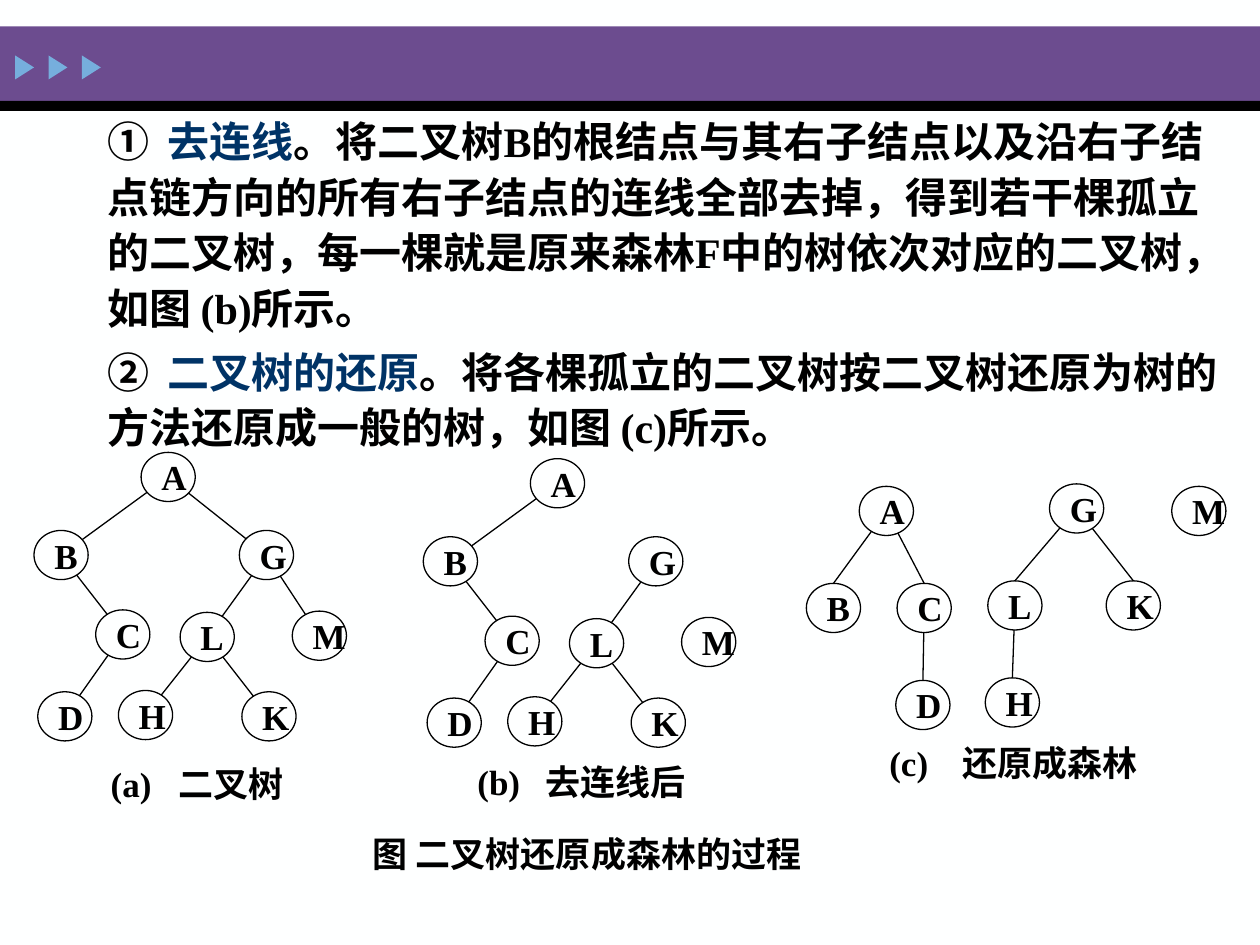
import math
import pptx
import pptx.util
import pptx.dml.color
import pptx.enum.shapes
import pptx.enum.text
import pptx.oxml.ns
from lxml import etree

INK, NAVY = "000000", "003366"
TIMES, NOTO = "Times New Roman", "Noto Sans CJK SC"

# Content: body runs as (text, colour, font)
BODY = [
    [("①\t", INK, TIMES), ("去连线", NAVY, TIMES),
     ("。将二叉树B的根结点与其右子结点以及沿右子结点链方向的所有右子结点的连线全部去掉，"
      "得到若干棵孤立的二叉树，每一棵就是原来森林F中的树依次对应的二叉树，", INK, TIMES),
     ("如图", INK, NOTO), (" (b)所示", INK, TIMES), ("。", INK, NOTO)],
    [("②\t", INK, TIMES), ("二叉树的还原", NAVY, TIMES),
     ("。将各棵孤立的二叉树按二叉树还原为树的方法还原成一般的树，", INK, TIMES),
     ("如图", INK, NOTO), (" (c)所示", INK, TIMES), ("。", INK, NOTO)],
]

# Captions: text, left, top, width, tab stop
NOTES = [
    ("(a)\t二叉树", 0.78, 6.02, 1.65, 0.54),
    ("(b)\t去连线后", 3.69, 6.01, 1.95, 0.54),
    ("(c)\t还原成森林", 6.96, 5.86, 2.3, 0.58),
    ("图 二叉树还原成森林的过程", 2.86, 6.58, 4.12, None),
]

# Trees: left and top of each node, then parent-child pairs
BINARY = {"A": (1.12, 3.59), "B": (0.27, 4.21), "G": (1.9, 4.21),
          "C": (0.76, 4.84), "L": (1.43, 4.86), "M": (2.32, 4.85),
          "D": (0.3, 5.49), "H": (0.94, 5.48), "K": (1.92, 5.49)}
FOREST = {"A": (6.82, 3.86), "B": (6.4, 4.63), "C": (7.12, 4.63),
          "D": (7.11, 5.4), "G": (8.33, 3.84), "L": (7.84, 4.61),
          "K": (8.78, 4.61), "H": (7.82, 5.38), "M": (9.3, 3.86)}
KEPT = ["AB", "BC", "CD", "GL", "LH", "LK"]
CUT = ["AG", "GM"]
# Nodes, pairs, shift, whether lines end at the child's top
TREES = [
    (BINARY, KEPT + CUT, (0, 0), False),
    (BINARY, KEPT, (3.09, 0.05), False),
    (FOREST, ["AB", "AC", "CD", "GL", "GK", "LH"], (0, 0), True),
]
NODE_W, NODE_H = 0.43, 0.39

Inch, Pt = pptx.util.Inches, pptx.util.Pt
Kind = pptx.enum.shapes.MSO_SHAPE
Anchor = pptx.enum.text.MSO_ANCHOR
deck = pptx.Presentation()
deck.slide_width, deck.slide_height = Inch(10), Inch(7.5)
slide = deck.slides.add_slide(deck.slide_layouts[6])


def rgb(code):
    return pptx.dml.color.RGBColor.from_string(code)


def sub(node, tag, **attrs):
    return etree.SubElement(node, pptx.oxml.ns.qn(tag), **attrs)


def add_run(para, text, size, color=INK, face=TIMES):
    run = para.add_run()
    run.text = text
    font = run.font
    font.size, font.bold, font.name = Pt(size), True, face
    font.color.rgb = rgb(color)
    sub(font._element, "a:ea", typeface=NOTO)


def set_tab(para, stop):
    props = para._p.get_or_add_pPr()
    props.set("hangingPunct", "0")
    tabs = sub(props, "a:tabLst")
    sub(tabs, "a:tab", pos=str(Inch(stop)), algn="l")


def add_shape(kind, left, top, width, height, fill=None):
    shape = slide.shapes.add_shape(
        kind, Inch(left), Inch(top), Inch(width), Inch(height))
    shape.shadow.inherit = False
    if fill:
        shape.fill.solid()
        shape.fill.fore_color.rgb = rgb(fill)
        shape.line.fill.background()
    else:
        shape.fill.background()
        shape.line.color.rgb = rgb(INK)
        shape.line.width = Pt(0.75)
    return shape


def add_label(shape, text, stop=None):
    frame = shape.text_frame
    frame.word_wrap = False
    frame.vertical_anchor = Anchor.MIDDLE
    para = frame.paragraphs[0]
    para.alignment = pptx.enum.text.PP_ALIGN.LEFT
    if stop:
        set_tab(para, stop)
    add_run(para, text, 20)


def add_box(left, top, width, height):
    return slide.shapes.add_textbox(
        Inch(left), Inch(top), Inch(width), Inch(height))


def rim(start, goal):
    """Point where the ray from a node's centre to goal leaves the node."""
    dx, dy = goal[0] - start[0], goal[1] - start[1]
    share = 1 / math.hypot(dx / (NODE_W / 2), dy / (NODE_H / 2))
    return start[0] + dx * share, start[1] + dy * share


def add_tree(spots, pairs, shift, to_top):
    mids, nodes = {}, {}
    for name, (x, y) in spots.items():
        left, top = x + shift[0], y + shift[1]
        mids[name] = left + NODE_W / 2, top + NODE_H / 2
        nodes[name] = add_shape(Kind.OVAL, left, top, NODE_W, NODE_H)
        add_label(nodes[name], name)
    for up, down in pairs:
        x, y = mids[down]
        goal = (x, y - NODE_H / 2) if to_top else (x, y)
        start = rim(mids[up], goal)
        end = goal if to_top else rim(goal, mids[up])
        link = slide.shapes.add_connector(
            pptx.enum.shapes.MSO_CONNECTOR.STRAIGHT,
            *(Inch(v) for v in start + end))
        if to_top:
            link.end_connect(nodes[down], 0)
        link.line.color.rgb = rgb(INK)
        link.line.width = Pt(0.75)
        sub(link._element.spPr, "a:effectLst")


# Background and header band
slide.background.fill.solid()
slide.background.fill.fore_color.rgb = rgb("FEFFFF")
add_shape(Kind.RECTANGLE, 0, 0.21, 10, 0.59, "6C4C8F")
add_shape(Kind.RECTANGLE, 0, 0.8, 10, 0.08, INK)
for i in range(3):
    mark = add_shape(Kind.ISOSCELES_TRIANGLE, 0.1 + 0.265 * i, 0.46, 0.19, 0.15, "76AEDD")
    mark.rotation = 90

# Body text
frame = add_box(0.17, 0.83, 9.67, 3.35).text_frame
frame.word_wrap = True
frame.margin_left = Inch(0.68)
for i, runs in enumerate(BODY):
    para = frame.add_paragraph() if i else frame.paragraphs[0]
    para.line_spacing = 1.1
    if i:
        para.space_before = Pt(5)
    set_tab(para, 0.48)
    for text, color, face in runs:
        add_run(para, text, 24, color, face)

# Trees and captions
for tree in TREES:
    add_tree(*tree)
for text, left, top, width, stop in NOTES:
    add_label(add_box(left, top, width, 0.39), text, stop)

deck.save("out.pptx")
